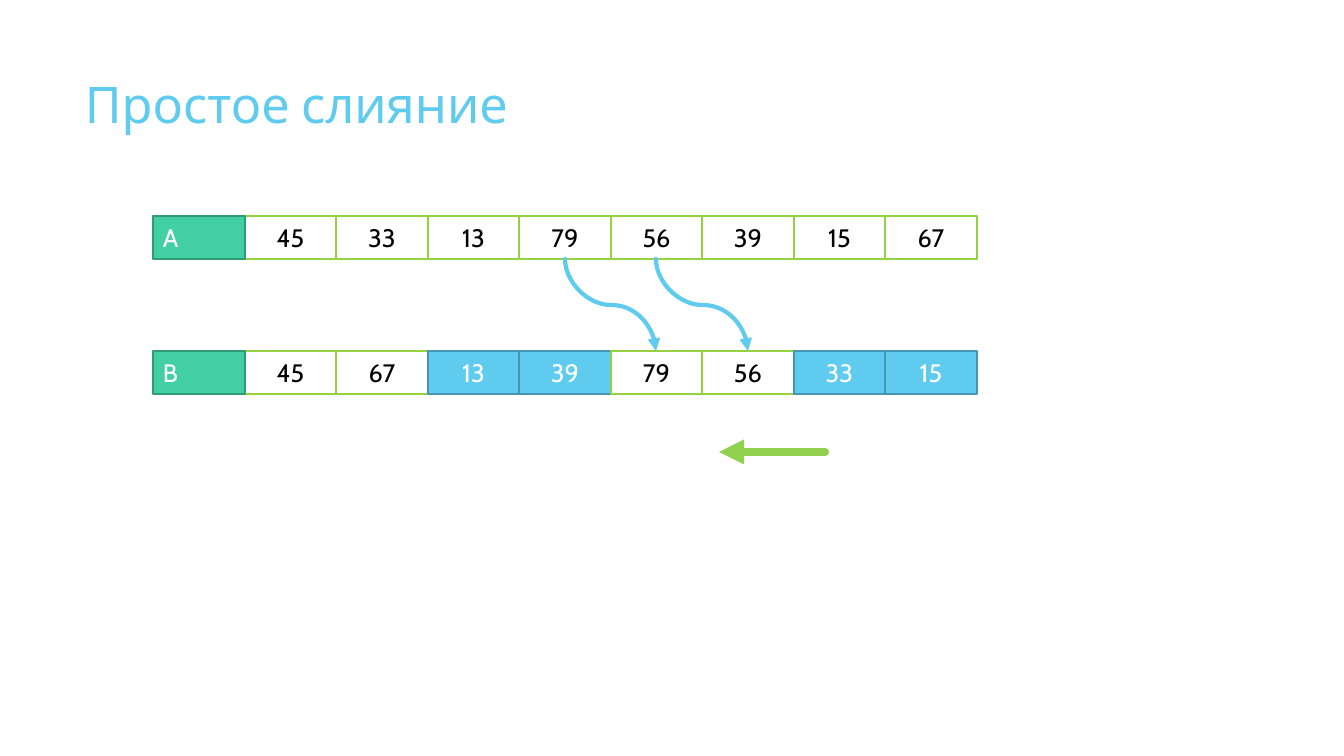
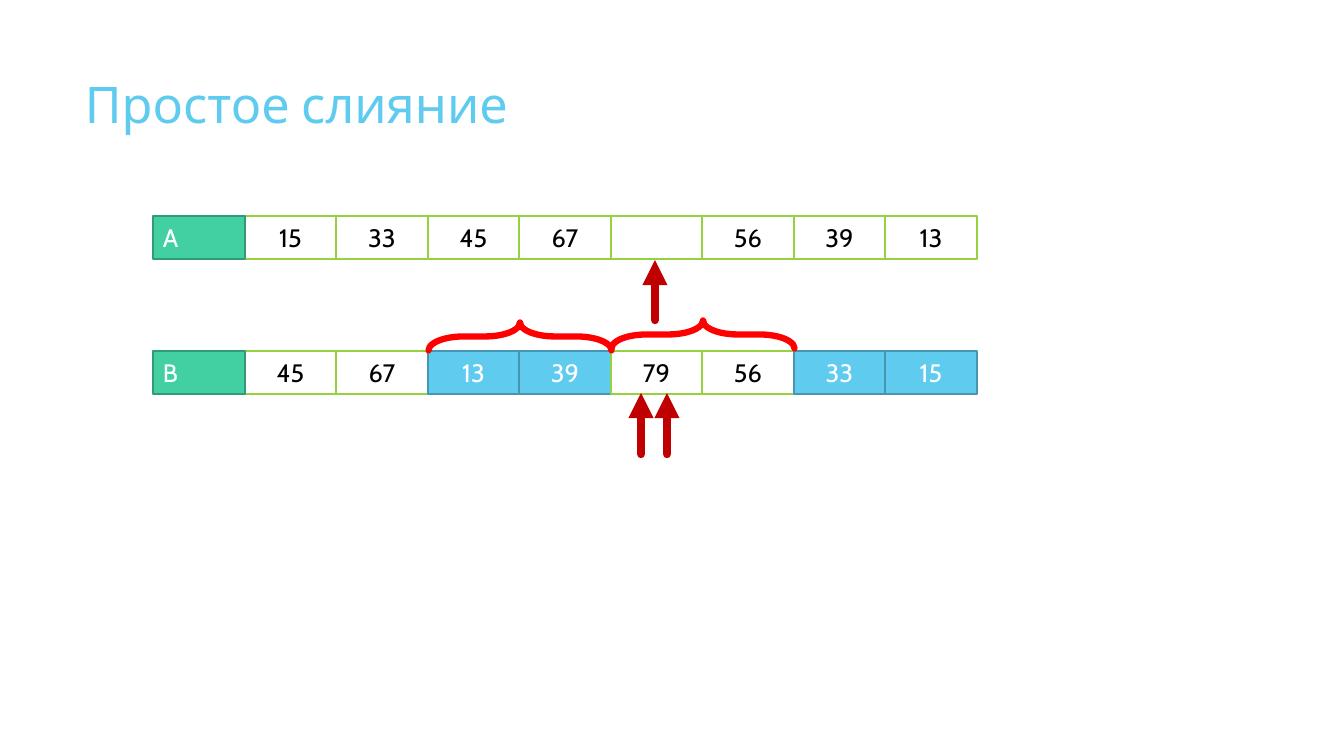
from dataclasses import dataclass
from typing import Any

from lxml import etree
from pptx import Presentation
from pptx.dml.color import RGBColor
from pptx.enum.shapes import MSO_CONNECTOR, MSO_SHAPE
from pptx.enum.text import MSO_ANCHOR, PP_ALIGN
from pptx.oxml.ns import qn
from pptx.util import Emu, Inches, Pt

STRAIGHT, CURVE = MSO_CONNECTOR.STRAIGHT, MSO_CONNECTOR.CURVE
RECTANGLE, LEFT_BRACE = MSO_SHAPE.RECTANGLE, MSO_SHAPE.LEFT_BRACE
LEFT, CENTER = PP_ALIGN.LEFT, PP_ALIGN.CENTER
TOP, MIDDLE = MSO_ANCHOR.TOP, MSO_ANCHOR.MIDDLE

SCALE = Inches(1) / 100.8
FONT = "Cabin"
WHITE, BLACK = "FFFFFF", "000000"
SKY, LIME, CRIMSON, RED = "5FCBEF", "92D050", "C00000", "FF0000"

TITLE = "Простое слияние"
TITLE_BOX = (75, 68, 948, 87)
ROW_LEFT, ROW_WIDTH, COLUMNS = 153, 824, 9
CELL_HEIGHT = 43
ROW_A_TOP, ROW_B_TOP = 216, 351


@dataclass(frozen=True)
class CellStyle:
    """Colours and alignment of one kind of cell."""
    fill: str
    line: str
    text: str
    align: Any = CENTER


@dataclass(frozen=True)
class Arrow:
    """A straight arrow from start to end."""
    start: tuple[int, int]
    end: tuple[int, int]
    color: str


@dataclass(frozen=True)
class Brace:
    """A brace lying above a run of cells, given by its upright frame."""
    left: int
    top: int
    width: int = 28
    height: int = 183


@dataclass(frozen=True)
class MergeStep:
    """What one slide of the merge shows."""
    row_a: tuple[str, ...]
    moves: tuple[tuple[int, int], ...] = ()
    braces: tuple[Brace, ...] = ()
    arrows: tuple[Arrow, ...] = ()


NAME = CellStyle("42D0A2", "319A78", WHITE, LEFT)
PLAIN = CellStyle(WHITE, "96D141", BLACK)
MARKED = CellStyle(SKY, "4696B1", WHITE)

ROW_B = ("45", "67", "13", "39", "79", "56", "33", "15")
MARKED_COLUMNS = (3, 4, 7, 8)

STEPS = (
    MergeStep(
        row_a=("45", "33", "13", "79", "56", "39", "15", "67"),
        moves=((4, 5), (5, 6)),
        arrows=(Arrow((825, 452), (719, 452), LIME),),
    ),
    MergeStep(
        row_a=("15", "33", "45", "67", "", "56", "39", "13"),
        braces=(Brace(506, 245), Brace(689, 243)),
        arrows=(
            Arrow((641, 454), (641, 393), CRIMSON),
            Arrow((667, 454), (667, 393), CRIMSON),
            Arrow((655, 320), (655, 260), CRIMSON),
        ),
    ),
)


def px(length: float) -> Emu:
    """Turn pixels into EMU."""
    return Emu(round(length * SCALE))


def rgb(color: str) -> RGBColor:
    """Turn a hex string into a colour."""
    return RGBColor.from_string(color)


def column_edge(column: int) -> int:
    """Give the left edge of a column."""
    return ROW_LEFT + round(ROW_WIDTH * column / COLUMNS)


def column_middle(column: int) -> int:
    """Give the middle of a column."""
    return (column_edge(column) + column_edge(column + 1)) // 2


def apply(target: Any, values: dict[str, Any]) -> None:
    """Set attributes from a dict of format values."""
    for name, value in values.items():
        setattr(target, name, value)


def write(box: Any, text: str, size: int, color: str, align: Any, anchor: Any) -> None:
    """Write one formatted line in a box."""
    apply(box.text_frame, {"word_wrap": True, "vertical_anchor": anchor})
    para = box.text_frame.paragraphs[0]
    para.alignment = align
    span = para.add_run()
    span.text = text
    apply(span.font, {"name": FONT, "size": Pt(size)})
    span.font.color.rgb = rgb(color)


def stroke(item: Any, color: str, width: float) -> Any:
    """Colour an outline and return its XML element."""
    item.line.color.rgb = rgb(color)
    item.line.width = Pt(width)
    return item.line._get_or_add_ln()


def add_title(page: Any) -> None:
    """Place the shared slide title."""
    box = page.shapes.add_textbox(*map(px, TITLE_BOX))
    write(box, TITLE, 36, SKY, LEFT, TOP)


def add_cell(page: Any, column: int, top: int, text: str, style: CellStyle) -> None:
    """Draw one cell of a row."""
    left = column_edge(column)
    width = column_edge(column + 1) - left
    box = page.shapes.add_shape(RECTANGLE, px(left), px(top), px(width), px(CELL_HEIGHT))
    box.shadow.inherit = False
    box.fill.solid()
    box.fill.fore_color.rgb = rgb(style.fill)
    stroke(box, style.line, 1.5)
    if text:
        write(box, text, 18, style.text, style.align, MIDDLE)


def add_row(page: Any, name: str, top: int, values: tuple[str, ...],
            marked: tuple[int, ...] = ()) -> None:
    """Draw the values of a row and its name cell."""
    for column, value in enumerate(values, start=1):
        add_cell(page, column, top, value, MARKED if column in marked else PLAIN)
    add_cell(page, 0, top, name, NAME)


def add_link(page: Any, kind: Any, start: tuple[float, float],
             end: tuple[float, float], color: str, width: float) -> Any:
    """Draw a connector with a triangle at its end."""
    link = page.shapes.add_connector(kind, *map(px, (*start, *end)))
    outline = stroke(link, color, width)
    outline.set("cap", "rnd")
    etree.SubElement(outline, qn("a:tailEnd")).set("type", "triangle")
    etree.SubElement(link._element.spPr, qn("a:effectLst"))
    return link


def add_move(page: Any, source: int, target: int) -> None:
    """Draw a curve from a cell of row A down to a cell of row B."""
    left, right = column_middle(source), column_middle(target)
    top, bottom = ROW_A_TOP + CELL_HEIGHT, ROW_B_TOP
    middle_x, middle_y = (left + right) / 2, (top + bottom) / 2
    half_run, half_drop = (right - left) / 2, (bottom - top) / 2
    start = (middle_x + half_drop, middle_y - half_run)
    end = (middle_x - half_drop, middle_y + half_run)
    link = add_link(page, CURVE, start, end, SKY, 3)
    link._element.spPr.find(qn("a:xfrm")).set("rot", str(270 * 60000))


def add_brace(page: Any, brace: Brace) -> None:
    """Draw a brace that points up."""
    frame = (brace.left, brace.top, brace.width, brace.height)
    shape = page.shapes.add_shape(LEFT_BRACE, *map(px, frame))
    shape.shadow.inherit = False
    shape.rotation = 90
    shape.adjustments[0] = 1.25
    shape.fill.background()
    stroke(shape, RED, 4.5).set("cap", "rnd")


def add_step(deck: Any, step: MergeStep) -> None:
    """Build one slide of the merge."""
    page = deck.slides.add_slide(deck.slide_layouts[6])
    add_title(page)
    add_row(page, "A", ROW_A_TOP, step.row_a)
    add_row(page, "B", ROW_B_TOP, ROW_B, MARKED_COLUMNS)
    for source, target in step.moves:
        add_move(page, source, target)
    for brace in step.braces:
        add_brace(page, brace)
    for arrow in step.arrows:
        add_link(page, STRAIGHT, arrow.start, arrow.end, arrow.color, 6)


def main() -> None:
    """Build and save the deck."""
    deck = Presentation()
    apply(deck, {"slide_width": px(1344), "slide_height": px(756)})
    for step in STEPS:
        add_step(deck, step)
    deck.save("out.pptx")


main()
